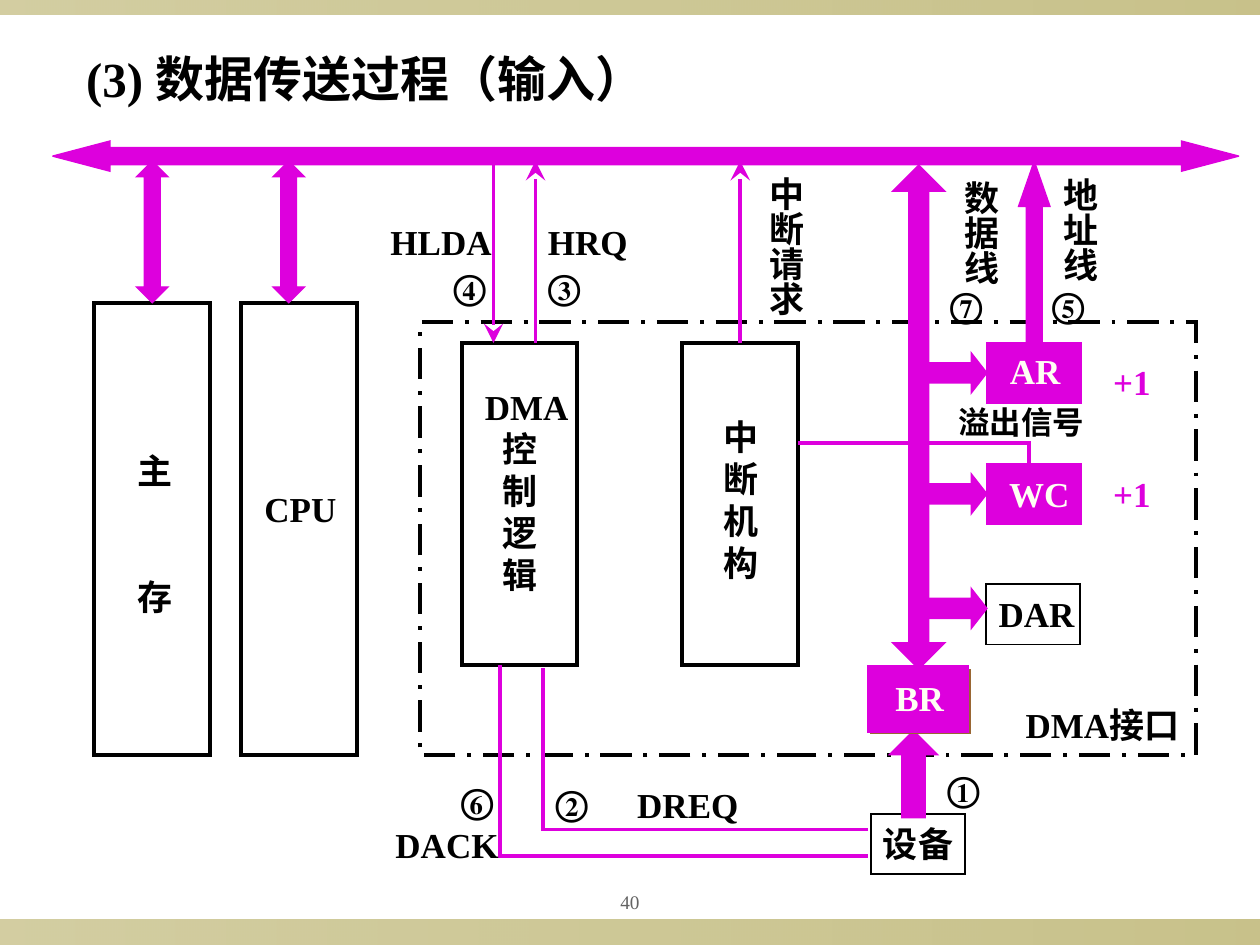
from dataclasses import dataclass

from lxml.etree import SubElement as Sub
from pptx import Presentation
from pptx.dml.color import RGBColor as RGB
from pptx.enum.dml import MSO_LINE as Dash
from pptx.enum.shapes import MSO_CONNECTOR as Conn, MSO_SHAPE as Kind
from pptx.enum.text import MSO_ANCHOR as Anchor, MSO_AUTO_SIZE as Auto, PP_ALIGN as Align
from pptx.oxml.ns import qn
from pptx.util import Pt

FONT = "Times New Roman"
SLACK = 2  # spare label width, so that no word breaks
HEX = {"ink": "000000", "flow": "DD00DD", "light": "FFFFF4",
       "shade": "996633", "band": "918415", "page": "636363"}


@dataclass
class Box:
    x: float
    y: float
    w: float
    h: float
    line: float = 2.25
    dash: bool = False
    fill: str = ""
    edge: str = "ink"


@dataclass
class Arrow:
    kind: Kind
    x: float
    y: float
    w: float
    h: float
    adj: tuple = (0.5, 0.5)
    line: float = 0.75


@dataclass
class Label:
    text: str
    x: float
    y: float
    w: float
    h: float = 31.5
    size: int = 20
    color: str = "ink"
    vert: bool = False
    indent: float = 0  # left margin of the CJK lines in a stacked label
    gap: float = 0     # space before each line after the first


def hue(name: str) -> RGB:
    return RGB.from_string(HEX[name])


def add_form(kind: Kind, x: float, y: float, w: float, h: float):
    form = shapes.add_shape(kind, Pt(x), Pt(y), Pt(w), Pt(h))
    form.shadow.inherit = False
    return form


def set_line(form, color: str, width: float, dash: bool = False) -> None:
    form.line.color.rgb = hue(color)
    form.line.width = Pt(width)
    if dash:
        form.line.dash_style = Dash.LONG_DASH_DOT
    Sub(form.line._get_or_add_ln(), qn("a:miter")).set("lim", "800000")


def draw_band(y: float, h: float) -> None:
    band = add_form(Kind.RECTANGLE, 0, y, 720, h)
    band.line.fill.background()
    band.fill.gradient()
    band.fill.gradient_angle = 0
    for stop, alpha in zip(band.fill.gradient_stops, (40, 50)):
        stop.color.rgb = hue("band")
        clr = stop._gs.find(qn("a:srgbClr"))
        Sub(clr, qn("a:alpha")).set("val", str(alpha * 1000))


def draw_box(box: Box):
    form = add_form(Kind.RECTANGLE, box.x, box.y, box.w, box.h)
    if box.fill:
        form.fill.solid()
        form.fill.fore_color.rgb = hue(box.fill)
    else:
        form.fill.background()
    set_line(form, box.edge, box.line, box.dash)
    return form


def draw_arrow(arrow: Arrow) -> None:
    form = add_form(arrow.kind, arrow.x, arrow.y, arrow.w, arrow.h)
    for i, val in enumerate(arrow.adj):
        form.adjustments[i] = val
    form.fill.solid()
    form.fill.fore_color.rgb = hue("flow")
    set_line(form, "flow", arrow.line)


def set_font(para, size: float, color: str, bold: bool = True) -> None:
    font = para.font
    font.name, font.size, font.bold = FONT, Pt(size), bold
    font.color.rgb = hue(color)


def draw_label(lab: Label) -> None:
    wide = lab.w if lab.vert else lab.w + SLACK
    frame = shapes.add_textbox(Pt(lab.x), Pt(lab.y), Pt(wide), Pt(lab.h)).text_frame
    frame.word_wrap = False
    frame.auto_size = Auto.SHAPE_TO_FIT_TEXT
    if lab.vert:
        frame._txBody.bodyPr.set("vert", "eaVert")
        frame.margin_left = frame.margin_right = Pt(3.6)
        frame.margin_top = frame.margin_bottom = Pt(7.2)
    frame.text = lab.text
    for i, para in enumerate(frame.paragraphs):
        if lab.indent and not para.text.isascii():
            para._p.get_or_add_pPr().set("marL", str(Pt(lab.indent)))
        if lab.gap and i:
            para.space_before = Pt(lab.gap)
        set_font(para, lab.size, lab.color)


def draw_line(x: float, y1: float, y2: float, box=None) -> None:
    line = shapes.add_connector(Conn.STRAIGHT, Pt(x), Pt(y1), Pt(x), Pt(y2))
    if box is not None:
        line.begin_connect(box, 0)
    set_line(line, "flow", 2.25)
    tail = Sub(line.line._get_or_add_ln(), qn("a:tailEnd"))
    for key, val in (("type", "stealth"), ("w", "lg"), ("len", "lg")):
        tail.set(key, val)
    Sub(line._element.spPr, qn("a:effectLst"))


def draw_wire(*pts: tuple) -> None:
    ends = [(Pt(x), Pt(y)) for x, y in pts]
    path = shapes.build_freeform(*ends[0])
    path.add_line_segments(ends[1:], close=False)
    wire = path.convert_to_shape()
    wire.shadow.inherit = False
    wire.fill.background()
    set_line(wire, "flow", 2.25)


deck = Presentation()
deck.slide_width, deck.slide_height = Pt(720), Pt(540)
slide = deck.slides.add_slide(deck.slide_layouts[5])
shapes = slide.shapes

# Bands, title and page number
draw_band(525.6, 14.4)
draw_band(0, 8.6)
title = shapes.title
title.left, title.top, title.width, title.height = Pt(42), Pt(24), Pt(492), Pt(41)
head = title.text_frame
head.text = "(3) 数据传送过程（输入）"
head.vertical_anchor, head.auto_size = Anchor.TOP, Auto.NONE
head.paragraphs[0].alignment = Align.LEFT
set_font(head.paragraphs[0], 28, "ink")

page = shapes.add_textbox(Pt(324), Pt(504), Pt(72), Pt(22.3)).text_frame
page.word_wrap, page.vertical_anchor = True, Anchor.MIDDLE
page.text = "40"
page.paragraphs[0].alignment = Align.CENTER
set_font(page.paragraphs[0], 11, "page", False)

# Outlined blocks
TOP, BUS = 196, 92
TALL, REG = 66, (54, 34.5)
for box in (
    Box(54, 173, TALL, 258.5),
    Box(138, 173, TALL, 258.5),
    Box(264, TOP, TALL, 184),
    Box(240, 184, 443.5, 247.5, dash=True),
    Box(497.5, 465, *REG, line=1),
    Box(563.3, 333.8, *REG, line=1),
):
    draw_box(box)
unit = draw_box(Box(390, TOP, TALL, 184))

# System bus and block arrows
draw_arrow(Arrow(Kind.LEFT_RIGHT_ARROW, 30, 80.6, 678, 17.3, (0.57, 1.9)))
for y in (201.6, 270.7, 336.2):
    draw_arrow(Arrow(Kind.RIGHT_ARROW, 528, y, 36, 23, (0.5, 0.39)))
for x in (78, 156):
    draw_arrow(Arrow(Kind.UP_DOWN_ARROW, x, BUS, 18, 81, (0.9, 0.5)))
draw_arrow(Arrow(Kind.UP_DOWN_ARROW, 510, 94.3, 30, 288, (0.7, 0.38)))
draw_arrow(Arrow(Kind.UP_ARROW, 582, BUS, 18, 104, (0.5, 1.44)))
draw_arrow(Arrow(Kind.UP_ARROW, 510, 418.5, 24, 48, line=2.25))

# Signal lines
draw_wire((496, 474), (310.3, 474), (310.3, 382))
draw_wire((286, 380), (286, 489.3), (496, 489.3))
draw_wire((588, 265), (588, 253.2), (456, 253.2))
draw_line(306, TOP, BUS)
draw_line(282, BUS, TOP)
draw_line(423, TOP, BUS, unit)

# Filled registers
for x, y in ((564, 196), (564, 265)):
    draw_box(Box(x, y, *REG, line=0.75, fill="flow", edge="flow"))
draw_box(Box(497.5, 382.5, 57, 36.5, line=0.75, fill="shade", edge="shade"))
draw_box(Box(497.5, 382, *REG, line=4.5, fill="flow", edge="flow"))

# Labels
for lab in (
    Label("主\n存", 71.3, 253.4, 34.6, 103.7, gap=48),
    Label("CPU", 144, 275, 55.4),
    Label("DMA\n控\n制\n逻\n辑", 270, 216.7, 62, 127.4, indent=10),
    Label("中\n断\n机\n构", 396.5, 234, 43, 103.7, indent=10),
    Label("设备", 497.5, 466.5, 54),
    Label("DAR", 563.5, 334.8, 57.6),
    Label("DMA接口", 579, 398.2, 107.3),
    Label("AR", 570, 196, 43.2, color="light"),
    Label("WC", 569.5, 266.5, 49, color="light"),
    Label("BR", 504.5, 383, 41.8, color="light"),
    Label("+1", 629, 202.5, 36, color="flow"),
    Label("+1", 629, 266.5, 36, color="flow"),
    Label("溢出信号", 540.5, 227, 86.4, 29, 18),
    Label("HLDA", 216, 122.4, 72),
    Label("HRQ", 306, 122.4, 59.8),
    Label("DREQ", 357, 444, 72),
    Label("DACK", 218.9, 467.3, 73.4),
    Label("中断请求", 426.2, 93.8, 38.2, 87.8, vert=True),
    Label("数据线", 537.8, 96, 38.2, 67.7, vert=True),
    Label("地址线", 594.3, 94.6, 38.2, 67.7, vert=True),
):
    draw_label(lab)

# Step numbers
for step, x, y in (
    ("①", 534.2, 435), ("②", 310.3, 443), ("③", 306, 148.3), ("④", 252, 148.3),
    ("⑤", 594, 158.6), ("⑥", 256.3, 442), ("⑦", 535.7, 158.6),
):
    draw_label(Label(step, x, y, 34.6))

deck.save("out.pptx")
